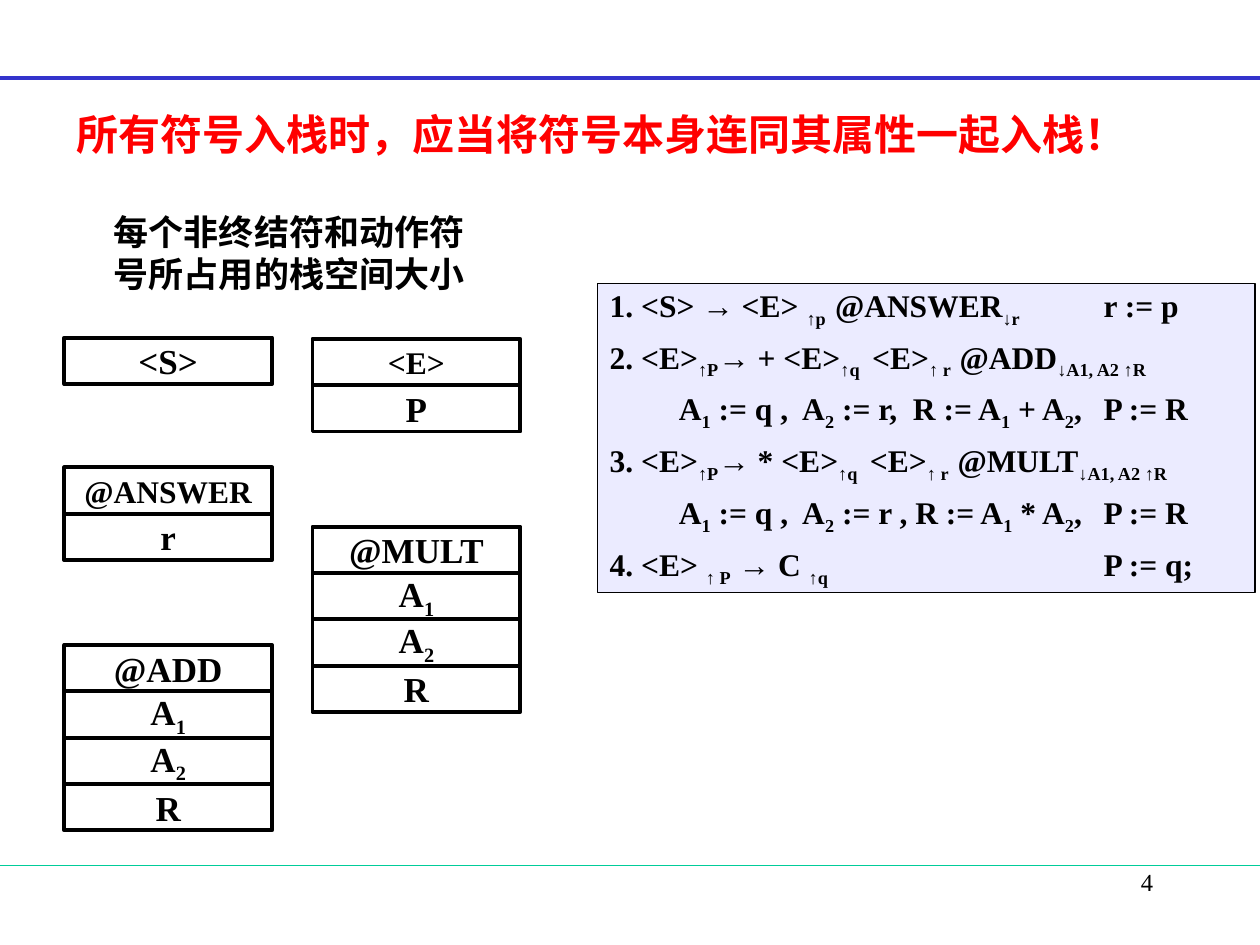
from lxml.etree import SubElement
from pptx import Presentation
from pptx.dml.color import RGBColor
from pptx.enum.shapes import MSO_CONNECTOR, MSO_SHAPE
from pptx.enum.text import MSO_ANCHOR, PP_ALIGN
from pptx.oxml.ns import qn
from pptx.util import Inches, Pt

FONT = "Times New Roman"
BLACK = "000000"
CELL_W, CELL_H = 1.65, 1.47 / 4
LEFT_COL, RIGHT_COL = 0.51, 2.48

# Pieces between "~" marks are subscripts.
GRAMMAR = [
    "1. <S> → <E> ~↑p  ~@ANSWER~↓r~\tr := p",
    "2. <E>~↑P~→ + <E>~↑q ~ <E>~↑ r  ~@ADD~↓A1, A2 ↑R",
    "\tA~1~ := q ,  A~2~ := r,  R := A~1~ + A~2~,\tP := R",
    "3. <E>~↑P~→ * <E>~↑q ~ <E>~↑ r  ~@MULT~↓A1, A2 ↑R",
    "\tA~1~ := q ,  A~2~ := r , R := A~1~ * A~2~,\tP := R",
    "4. <E> ~↑ P~ → C ~↑q~\tP := q;",
]
GRAMMAR_TABS = (0.55, 3.92)

# Left, top, size of the first symbol, symbols from top to bottom
STACKS = [
    (LEFT_COL, 2.68, 20, ["<S>"]),
    (RIGHT_COL, 2.69, 18, ["<E>", "P"]),
    (LEFT_COL, 3.71, 18, ["@ANSWER", "r"]),
    (RIGHT_COL, 4.18, 20, ["@MULT", "A~1", "A~2", "R"]),
    (LEFT_COL, 5.12, 20, ["@ADD", "A~1", "A~2", "R"]),
]


def rgb(color):
    return RGBColor.from_string(color)


def add_runs(p, text, size, color=BLACK, bold=True):
    """Add text to p, lowering every second piece between "~" marks."""
    for i, piece in enumerate(text.split("~")):
        if not piece:
            continue
        r = p.add_run()
        r.text = piece
        r.font.name = FONT
        r.font.size = Pt(size)
        r.font.bold = bold
        r.font.color.rgb = rgb(color)
        if i % 2:
            r.font._element.set("baseline", "-25000")


def add_tab_stops(p, stops):
    tabs = SubElement(p._p.get_or_add_pPr(), qn("a:tabLst"))
    for stop in stops:
        SubElement(tabs, qn("a:tab"), pos=str(Inches(stop)), algn="l")


def add_rule(s, y, color, width):
    line = s.shapes.add_connector(
        MSO_CONNECTOR.STRAIGHT, Inches(0), Inches(y), Inches(10), Inches(y))
    line.line.color.rgb = rgb(color)
    line.line.width = Pt(width)
    SubElement(line._element.spPr, qn("a:effectLst"))


def add_label(s, box, text, size, align, color=BLACK, bold=True, wrap=True):
    tf = s.shapes.add_textbox(*map(Inches, box)).text_frame
    tf.word_wrap = wrap
    p = tf.paragraphs[0]
    p.alignment = align
    add_runs(p, text, size, color, bold)


def add_rect(shapes, box, fill, width):
    sp = shapes.add_shape(MSO_SHAPE.RECTANGLE, *map(Inches, box))
    sp.shadow.inherit = False
    sp.fill.solid()
    sp.fill.fore_color.rgb = rgb(fill)
    sp.line.color.rgb = rgb(BLACK)
    sp.line.width = Pt(width)
    return sp


def add_stack(s, left, top, head_size, symbols):
    group = s.shapes.add_group_shape()
    for i, symbol in enumerate(symbols):
        box = (left, top + i * CELL_H, CELL_W, CELL_H)
        tf = add_rect(group.shapes, box, "FFFFFF", 2.25).text_frame
        tf.margin_top = tf.margin_bottom = 0
        tf.vertical_anchor = MSO_ANCHOR.MIDDLE
        p = tf.paragraphs[0]
        p.alignment = PP_ALIGN.CENTER
        add_runs(p, symbol, 20 if i else head_size)


def add_grammar(s):
    tf = add_rect(s.shapes, (4.74, 2.25, 5.22, 2.45), "EBEBFF", 0.75).text_frame
    tf.word_wrap = True
    tf.margin_bottom = Inches(0.2)
    tf.vertical_anchor = MSO_ANCHOR.TOP
    for i, rule in enumerate(GRAMMAR):
        p = tf.add_paragraph() if i else tf.paragraphs[0]
        add_tab_stops(p, GRAMMAR_TABS)
        p.alignment = PP_ALIGN.LEFT
        p.line_spacing = 0.8
        if i:
            p.space_before = Pt(10)
        add_runs(p, rule, 18)


def main():
    prs = Presentation()
    prs.slide_width, prs.slide_height = Inches(10), Inches(7.5)
    s = prs.slides.add_slide(prs.slide_layouts[6])
    add_rule(s, 0.62, "3333CC", 2.25)
    add_rule(s, 6.87, "00CC99", 0.75)
    add_label(s, (7.17, 6.83, 2.08, 0.5), "4", 14, PP_ALIGN.RIGHT, bold=False)
    add_grammar(s)
    for stack in STACKS:
        add_stack(s, *stack)
    add_label(s, (0.67, 1.62, 3.25, 0.77),
              "每个非终结符和动作符号所占用的栈空间大小", 20, PP_ALIGN.CENTER)
    add_label(s, (0.51, 0.81, 8.58, 0.5),
              "所有符号入栈时，应当将符号本身连同其属性一起入栈！", 24,
              PP_ALIGN.LEFT, color="FF0000", wrap=False)
    prs.save("out.pptx")


if __name__ == "__main__":
    main()
